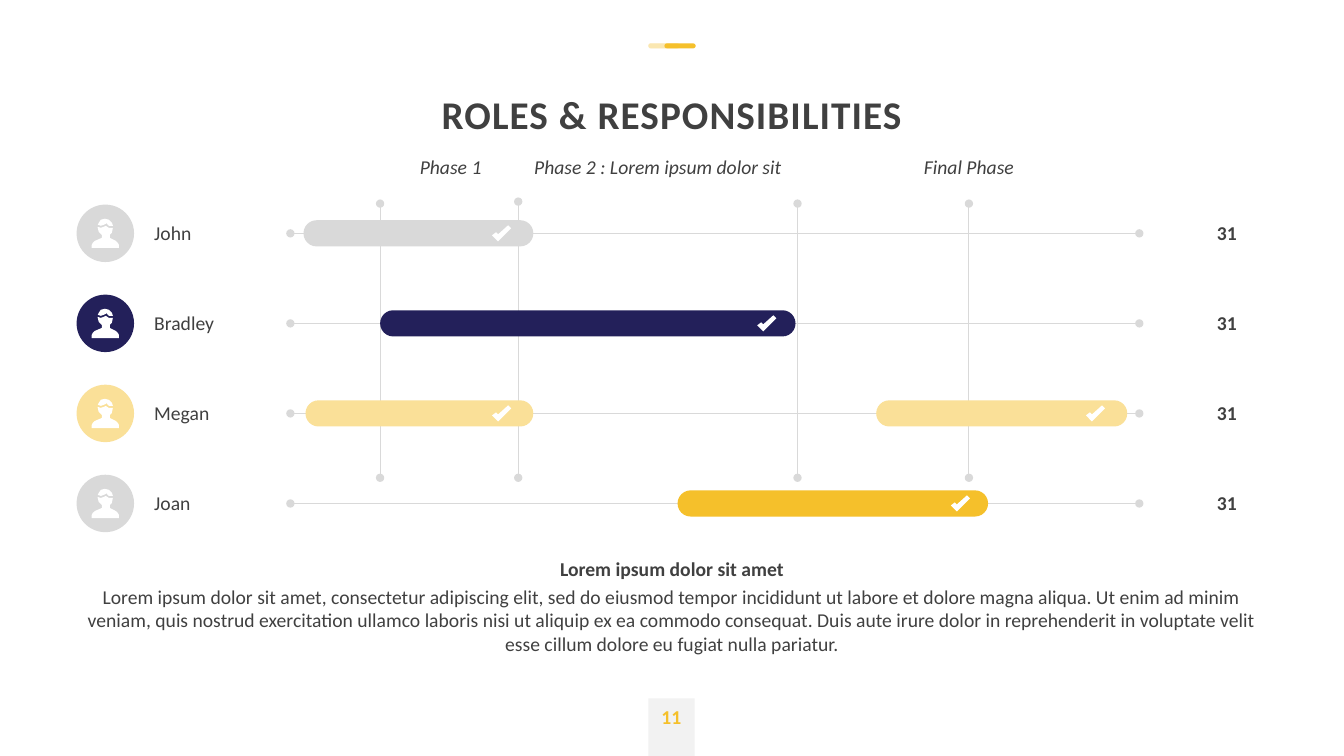
from collections import namedtuple

from lxml.etree import SubElement
from pptx import Presentation
from pptx.dml.color import RGBColor
from pptx.enum.shapes import MSO_CONNECTOR as Connector, MSO_SHAPE as Shape
from pptx.enum.text import MSO_ANCHOR as Anchor, PP_ALIGN as Align
from pptx.oxml.ns import qn
from pptx.util import Inches, Pt

Box = namedtuple("Box", "left top width height")
Person = namedtuple("Person", "name total color bars")
Bar = namedtuple("Bar", "start length tick")

FONT = "Calibri"
INK, GRAY, PALE, WHITE = "404040", "D9D9D9", "F2F2F2", "FFFFFF"
NAVY, CREAM, GOLD = "23205A", "FAE098", "F5C02B"

# Bars: start and length from the left end of the track, tick from the bar's end
TEAM = [
    Person("John", "31", GRAY, [Bar(0.13, 2.28, 0.41)]),
    Person("Bradley", "31", NAVY, [Bar(0.89, 4.12, 0.38)]),
    Person("Megan", "31", CREAM, [Bar(0.15, 2.26, 0.41), Bar(5.81, 2.49, 0.41)]),
    Person("Joan", "31", GRAY, [Bar(3.84, 3.08, 0.37)]),
]
BAR_COLORS = {"Joan": GOLD}

# Phase labels: left and width; phase lines: x and top, all from the box corner
PHASES = [("Phase 1", 0, 1.4), ("Phase 2 : Lorem ipsum dolor sit", 1.4, 2.71),
          ("Final Phase", 4.14, 3.4)]
PHASE_LINES = [(0, 0.5), (1.37, 0.48), (4.14, 0.5), (5.84, 0.5)]

# Icon outlines in hundredths of an inch
BUST = [(24, 22), (18, 19), (18, 16), (20, 14), (21, 9), (19, 9), (17, 9), (14, 7),
        (12, 8), (9, 9), (6, 8), (6, 9), (7, 13), (10, 16), (10, 19), (3, 22),
        (1, 23.5), (0, 26), (0, 29), (27, 29), (27, 26), (26, 23.5)]
HAIR = [(14, 5), (14, 4), (15, 5), (17, 7), (19, 7), (21, 7), (20, 4), (17, 1),
        (13, 0), (9, 1), (7, 3.5), (6, 6), (9, 7), (12, 6.5)]
TICK = [(19, 3), (16, 0), (6, 9), (3.5, 7), (0, 10), (6, 16)]


def rgb(color):
    return RGBColor.from_string(color)


def emu(box):
    return [Inches(length) for length in box]


def paint(shape, color, alpha=None):
    shape.shadow.inherit = False
    shape.fill.solid()
    shape.fill.fore_color.rgb = rgb(color)
    shape.line.fill.background()
    if alpha:
        srgb = shape.fill._xPr.find(".//" + qn("a:srgbClr"))
        SubElement(srgb, qn("a:alpha")).set("val", str(alpha * 1000))


def add_block(slide, kind, box, color, alpha=None):
    block = slide.shapes.add_shape(kind, *emu(box))
    if kind == Shape.ROUNDED_RECTANGLE:
        block.adjustments[0] = 0.5
    paint(block, color, alpha)


def add_outline(slide, points, left, top):
    builder = slide.shapes.build_freeform(*points[0], scale=Inches(0.01))
    builder.add_line_segments(points[1:], close=True)
    paint(builder.convert_to_shape(Inches(left), Inches(top)), WHITE)


def add_dotted_line(slide, start, end, width):
    line = slide.shapes.add_connector(Connector.STRAIGHT, *emu(start + end))
    line.line.color.rgb = rgb(GRAY)
    line.line.width = Pt(width)
    properties = line._element.spPr
    for end_name in ("a:headEnd", "a:tailEnd"):
        SubElement(properties.find(qn("a:ln")), qn(end_name)).set("type", "oval")
    SubElement(properties, qn("a:effectLst"))


def write(shape, text, align=Align.CENTER, anchor=Anchor.MIDDLE, size=14,
          color=INK, bold=False, italic=False, spacing=1.0):
    frame = shape.text_frame
    frame.word_wrap = True
    frame.vertical_anchor = anchor
    frame.margin_left = frame.margin_right = frame.margin_top = frame.margin_bottom = 0
    paragraph = frame.paragraphs[0]
    paragraph.text = text
    paragraph.alignment = align
    paragraph.line_spacing = spacing
    font = paragraph.font
    font.name, font.size, font.bold, font.italic = FONT, Pt(size), bold, italic
    font.color.rgb = rgb(color)
    return paragraph


def add_text(slide, box, text, **style):
    write(slide.shapes.add_textbox(*emu(box)), text, **style)


def add_heading(slide, box):
    title = slide.shapes.title
    title.left, title.top, title.width, title.height = emu(box)
    heading = write(title, "ROLES & RESPONSIBILITIES", anchor=Anchor.BOTTOM,
                    size=28, bold=True, spacing=0.9)
    heading._p.get_or_add_pPr().get_or_add_defRPr().set("spc", "80")


def add_accent(slide, box):
    # The pale dash is layered twice beneath the solid one
    for shift, color, alpha in [(0, CREAM, 50), (0, CREAM, 50), (0.16, GOLD, None)]:
        dash = Box(box.left + shift, box.top, box.width - 0.16, box.height)
        add_block(slide, Shape.ROUNDED_RECTANGLE, dash, color, alpha)


def add_page_number(slide, box):
    add_block(slide, Shape.RECTANGLE, box, PALE)
    add_text(slide, box._replace(height=0.35), "11", color=GOLD, bold=True)


def add_phases(slide, box):
    for x, top in PHASE_LINES:
        x += box.left
        add_dotted_line(slide, (x, box.top + top), (x, box.top + box.height), 0.75)
    for label, left, width in PHASES:
        add_text(slide, Box(box.left + left, box.top, width, 0.27), label, italic=True)


def add_person(slide, box, person):
    middle = box.top + box.height / 2

    # Portrait and name
    add_block(slide, Shape.OVAL, Box(box.left, box.top, box.height, box.height), person.color)
    for outline in (BUST, HAIR):
        add_outline(slide, outline, box.left + 0.15, box.top + 0.14)
    add_text(slide, Box(box.left + 0.77, middle - 0.12, 0.9, 0.24), person.name,
             align=Align.LEFT, anchor=Anchor.TOP)

    # Track, bars and total
    track = box.left + 2.12
    add_dotted_line(slide, (track, middle), (track + 8.42, middle), 1)
    for bar in person.bars:
        start = track + bar.start
        add_block(slide, Shape.ROUNDED_RECTANGLE, Box(start, middle - 0.13, bar.length, 0.26),
                  BAR_COLORS.get(person.name, person.color))
        add_outline(slide, TICK, start + bar.length - bar.tick, middle - 0.08)
    add_text(slide, Box(box.left + box.width - 0.5, middle - 0.14, 0.5, 0.27),
             person.total, align=Align.LEFT, bold=True)


def add_team(slide, box):
    row_height = 0.57
    pitch = (box.height - row_height) / (len(TEAM) - 1)
    for row, person in enumerate(TEAM):
        add_person(slide, Box(box.left, box.top + row * pitch, box.width, row_height), person)


def add_summary(slide, box):
    add_text(slide, box._replace(height=0.26), "Lorem ipsum dolor sit amet",
             anchor=Anchor.TOP, bold=True, spacing=1.2)
    add_text(slide, Box(box.left, box.top + 0.32, box.width, box.height - 0.32),
             "Lorem ipsum dolor sit amet, consectetur adipiscing elit, sed do eiusmod "
             "tempor incididunt ut labore et dolore magna aliqua. Ut enim ad minim veniam, "
             "quis nostrud exercitation ullamco laboris nisi ut aliquip ex ea commodo "
             "consequat. Duis aute irure dolor in reprehenderit in voluptate velit esse "
             "cillum dolore eu fugiat nulla pariatur.", anchor=Anchor.TOP)


def main():
    deck = Presentation()
    deck.slide_width, deck.slide_height = Inches(13.33), Inches(7.5)
    slide = deck.slides.add_slide(deck.slide_layouts[5])
    margin, content = 0.76, 11.81
    add_heading(slide, Box(margin, 0.48, content, 0.89))
    add_accent(slide, Box(6.43, 0.43, 0.47, 0.05))
    add_page_number(slide, Box(6.43, 6.93, 0.46, 0.57))
    add_phases(slide, Box(3.77, 1.52, 7.54, 3.22))
    add_team(slide, Box(margin, 2.03, content, 3.25))
    add_summary(slide, Box(margin, 5.48, content, 1.03))
    deck.save("out.pptx")


if __name__ == "__main__":
    main()
